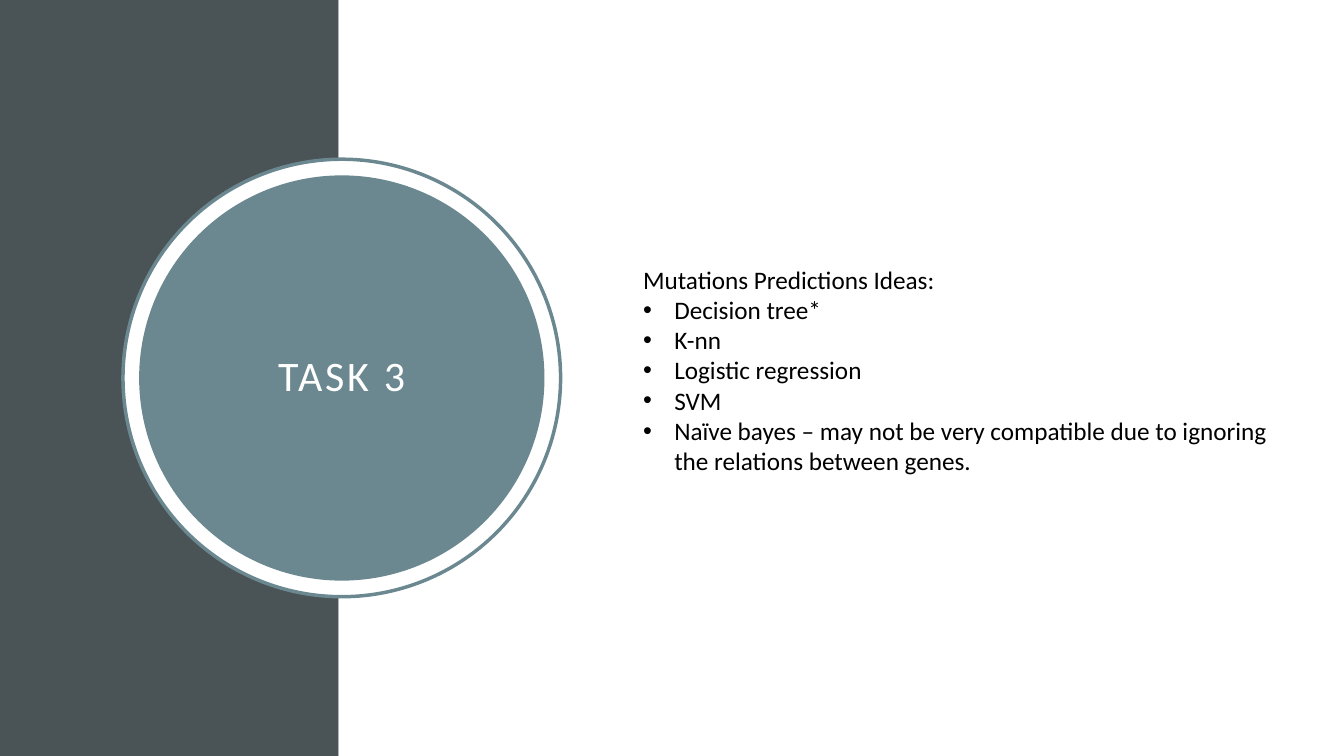
import pptx
import pptx.util
import pptx.dml.color
import pptx.enum.shapes
import pptx.enum.text

Inches, Pt = pptx.util.Inches, pptx.util.Pt
RGBColor = pptx.dml.color.RGBColor
MSO_SHAPE = pptx.enum.shapes.MSO_SHAPE
MSO_ANCHOR = pptx.enum.text.MSO_ANCHOR

SLATE = RGBColor(0x4A, 0x53, 0x56)
TEAL = RGBColor(0x6B, 0x88, 0x91)
WHITE = RGBColor(0xFF, 0xFF, 0xFF)
BLACK = RGBColor(0, 0, 0)
FONT = "Calibri"
SLIDE_WIDTH, SLIDE_HEIGHT, BAND_WIDTH = 13.33, 7.5, 3.36
IDEAS = [
    "Decision tree*",
    "K-nn",
    "Logistic regression",
    "SVM",
    "Naïve bayes – may not be very compatible due to ignoring the relations between genes.",
]


def add_filled(slide, preset, box, fill, outline=None):
    """Add a preset shape filling box (left, top, width, height in inches)."""
    shape = slide.shapes.add_shape(preset, *map(Inches, box))
    shape.shadow.inherit = False
    shape.fill.solid()
    shape.fill.fore_color.rgb = fill
    if outline is None:
        shape.line.fill.background()
    else:
        shape.line.color.rgb = outline
        shape.line.width = Pt(2.5)
    return shape


def add_text(paragraph, text, size, color):
    """Append one styled run to a paragraph."""
    run = paragraph.add_run()
    run.text = text
    run.font.name = FONT
    run.font.size = Pt(size)
    run.font.color.rgb = color
    return run


def add_background(slide, box):
    """Split the box into a dark band and a white content area."""
    left, top, width, height = box
    add_filled(slide, MSO_SHAPE.RECTANGLE, (left, top, BAND_WIDTH, height), SLATE)
    add_filled(slide, MSO_SHAPE.RECTANGLE,
               (left + BAND_WIDTH, top, width - BAND_WIDTH, height), WHITE)


def add_title_medallion(slide, box, title):
    """Draw a ringed disc in the box with the title at its centre."""
    left, top, width, height = box
    gap = 0.16
    add_filled(slide, MSO_SHAPE.OVAL, box, WHITE, TEAL)
    disc = add_filled(slide, MSO_SHAPE.OVAL,
                      (left + gap, top + gap, width - 2 * gap, height - 2 * gap), TEAL)
    frame = disc.text_frame
    frame.word_wrap = True
    frame.vertical_anchor = MSO_ANCHOR.MIDDLE
    frame.margin_left = frame.margin_right = Inches(0.2)
    frame.margin_top = frame.margin_bottom = Inches(0.2)
    heading = frame.paragraphs[0]
    heading.alignment = pptx.enum.text.PP_ALIGN.CENTER
    heading.line_spacing = 0.9
    heading.space_after = Pt(6)
    run = add_text(heading, title, 30, WHITE)
    run.font._element.set("spc", "200")


def add_bullet(paragraph):
    """Give a paragraph a hanging bullet."""
    properties = paragraph._p.get_or_add_pPr()
    indent = Inches(0.31)
    properties.set("marL", str(indent))
    properties.set("indent", str(-indent))
    for tag, attribute, value in (("buFont", "typeface", "Arial"), ("buChar", "char", "•")):
        mark = pptx.oxml.xmlchemy.OxmlElement("a:" + tag)
        mark.set(attribute, value)
        properties.append(mark)


def add_ideas(slide, box, intro, ideas):
    """Write the intro line and bulleted ideas, slightly above the box's middle."""
    frame = slide.shapes.add_textbox(*map(Inches, box)).text_frame
    frame.word_wrap = True
    frame.vertical_anchor = MSO_ANCHOR.MIDDLE
    frame.margin_bottom = Inches(0.95)
    add_text(frame.paragraphs[0], intro, 18, BLACK)
    for idea in ideas:
        paragraph = frame.add_paragraph()
        add_bullet(paragraph)
        add_text(paragraph, idea, 18, BLACK)


def build_task_slide(deck, box):
    """Compose the task slide inside the box."""
    slide = deck.slides.add_slide(deck.slide_layouts[6])
    left, top = box[:2]
    add_background(slide, box)
    add_title_medallion(slide, (left + 1.22, top + 1.58, 4.34, 4.34), "TASK 3")
    add_ideas(slide, (left + 6.28, top + 0.79, 6.74, 6.66),
              "Mutations Predictions Ideas:", IDEAS)


presentation = pptx.Presentation()
presentation.slide_width = Inches(SLIDE_WIDTH)
presentation.slide_height = Inches(SLIDE_HEIGHT)
build_task_slide(presentation, (0, 0, SLIDE_WIDTH, SLIDE_HEIGHT))
presentation.save("out.pptx")
